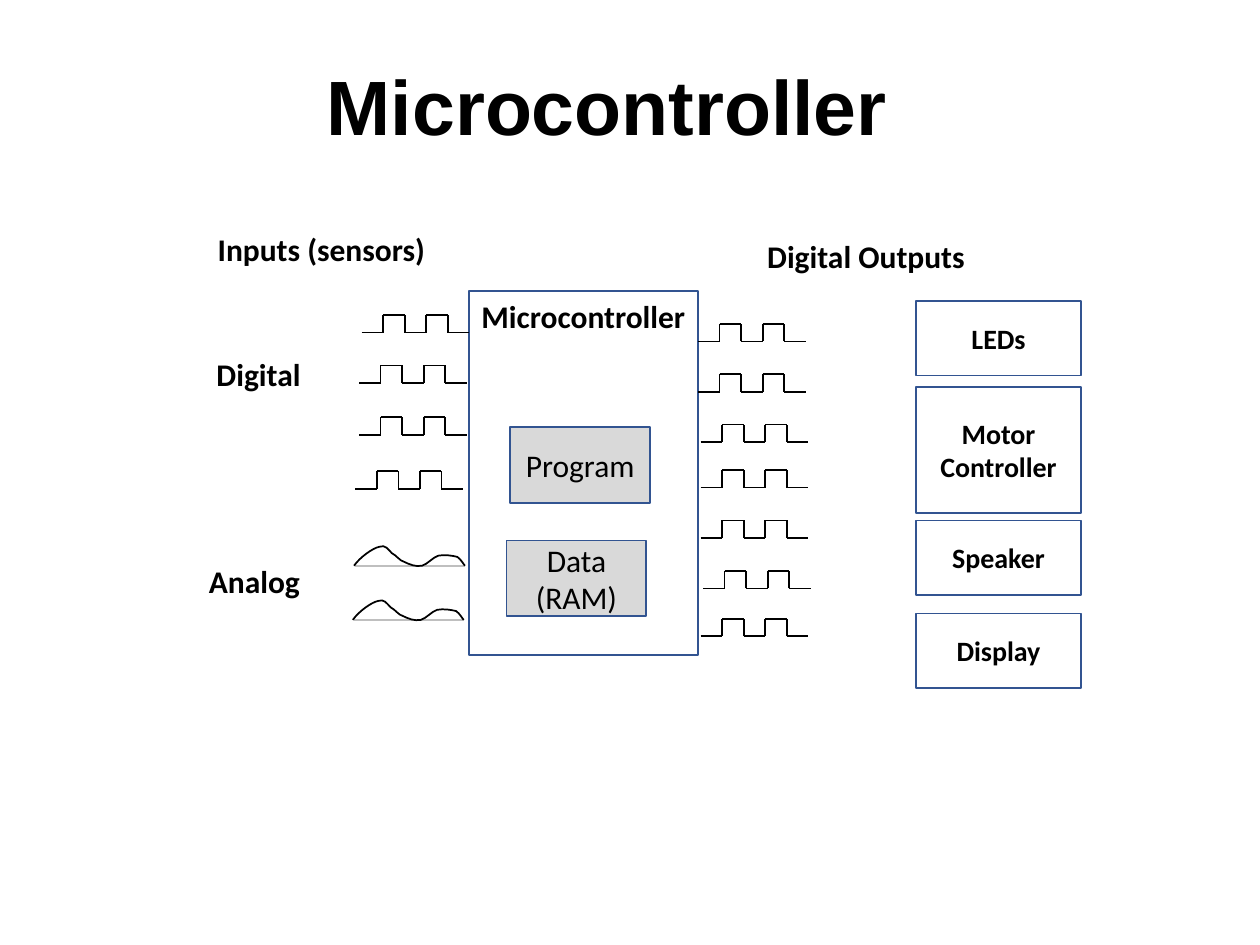
from dataclasses import dataclass

from lxml.etree import SubElement
from pptx import Presentation
from pptx.dml.color import RGBColor
from pptx.enum.shapes import MSO_CONNECTOR, MSO_SHAPE
from pptx.enum.text import MSO_ANCHOR, MSO_AUTO_SIZE, PP_ALIGN
from pptx.oxml.ns import qn
from pptx.util import Inches, Pt

BLACK, WHITE, BLUE = "000000", "FFFFFF", "325491"
PALE_GRAY, MID_GRAY = "D9D9D9", "BFBFBF"

PULSE_STEP = 0.171
PULSE_HEIGHT = 0.14
WAVE_WIDTH = 0.87

# Cubic curve points of an analog wave, relative to its starting point
WAVE_CURVE = [
    (0.05, -0.07), (0.15, -0.14), (0.2, -0.15),
    (0.25, -0.17), (0.27, -0.13), (0.3, -0.1),
    (0.34, -0.08), (0.36, -0.04), (0.4, -0.03),
    (0.44, -0.01), (0.49, 0.01), (0.54, 0),
    (0.58, -0.01), (0.63, -0.07), (0.67, -0.08),
    (0.72, -0.09), (0.78, -0.08), (0.82, -0.07),
    (0.85, -0.05), (0.87, -0.01), (0.88, 0),
]


@dataclass
class Block:
    text: str
    left: float
    top: float
    width: float
    height: float
    fill: str = WHITE
    size: int = 16
    bold: bool = True
    anchor: MSO_ANCHOR = MSO_ANCHOR.MIDDLE


@dataclass
class Label:
    text: str
    left: float
    top: float
    width: float


@dataclass
class Signal:
    left: float
    base: float


BLOCKS = [
    Block("Microcontroller", 3.72, 2.31, 1.82, 2.89, size=18, anchor=MSO_ANCHOR.TOP),
    Block("Program", 4.05, 3.39, 1.11, 0.6, PALE_GRAY, 18, False),
    Block("Data\n(RAM)", 4.02, 4.29, 1.11, 0.6, PALE_GRAY, 18, False),
    Block("LEDs", 7.27, 2.39, 1.31, 0.59),
    Block("Motor\nController", 7.27, 3.07, 1.31, 1),
    Block("Speaker", 7.27, 4.13, 1.31, 0.59),
    Block("Display", 7.27, 4.87, 1.31, 0.59),
]
LABELS = [
    Label("Inputs (sensors)", 1.63, 1.78, 1.86),
    Label("Digital Outputs", 5.99, 1.83, 1.78),
    Label("Digital", 1.62, 2.77, 0.87),
    Label("Analog", 1.56, 4.41, 0.93),
]
DIGITAL_INPUTS = [Signal(2.87, 2.64), Signal(2.85, 3.04), Signal(2.85, 3.45), Signal(2.82, 3.88)]
DIGITAL_OUTPUTS = [
    Signal(5.54, 2.71), Signal(5.54, 3.11), Signal(5.56, 3.51), Signal(5.56, 3.87),
    Signal(5.56, 4.27), Signal(5.58, 4.67), Signal(5.56, 5.05),
]
ANALOG_INPUTS = [Signal(2.81, 4.49), Signal(2.8, 4.92)]


def color(value: str) -> RGBColor:
    return RGBColor.from_string(value)


def write_text(frame, text: str, *, size: int, font: str = "Calibri", bold: bool = True,
               align=PP_ALIGN.CENTER, anchor=MSO_ANCHOR.MIDDLE, wrap: bool = True,
               spacing: float = 1.0) -> None:
    frame.word_wrap = wrap
    frame.vertical_anchor = anchor
    for index, line in enumerate(text.split("\n")):
        para = frame.add_paragraph() if index else frame.paragraphs[0]
        para.alignment = align
        para.line_spacing = spacing
        span = para.add_run()
        span.text = line
        span.font.name = font
        span.font.size = Pt(size)
        span.font.bold = bold
        span.font.color.rgb = color(BLACK)


def set_line(shape, value: str) -> None:
    shape.line.color.rgb = color(value)
    shape.line.width = Pt(1)


def draw_block(page, block: Block) -> None:
    box = page.shapes.add_shape(MSO_SHAPE.RECTANGLE, Inches(block.left), Inches(block.top),
                                Inches(block.width), Inches(block.height))
    box.shadow.inherit = False
    box.fill.solid()
    box.fill.fore_color.rgb = color(block.fill)
    set_line(box, BLUE)
    box.text_frame.margin_left = box.text_frame.margin_right = Inches(0.05)
    write_text(box.text_frame, block.text, size=block.size, bold=block.bold, anchor=block.anchor)


def draw_label(page, label: Label) -> None:
    box = page.shapes.add_textbox(Inches(label.left), Inches(label.top),
                                  Inches(label.width), Inches(0.4))
    write_text(box.text_frame, label.text, size=18, align=PP_ALIGN.LEFT,
               anchor=MSO_ANCHOR.TOP, wrap=False)
    box.text_frame.auto_size = MSO_AUTO_SIZE.SHAPE_TO_FIT_TEXT


def draw_line(group, x1: float, y1: float, x2: float, y2: float, value: str = BLACK) -> None:
    line = group.shapes.add_connector(MSO_CONNECTOR.STRAIGHT, Inches(x1), Inches(y1),
                                      Inches(x2), Inches(y2))
    set_line(line, value)
    SubElement(line._element.spPr, qn("a:effectLst"))


def draw_pulses(page, signal: Signal) -> None:
    group = page.shapes.add_group_shape()
    high = signal.base - PULSE_HEIGHT
    for step in range(5):
        start = signal.left + step * PULSE_STEP
        level = high if step % 2 else signal.base
        draw_line(group, start, level, start + PULSE_STEP, level)
        if step:
            draw_line(group, start, signal.base, start, high)


def draw_wave(page, signal: Signal) -> None:
    group = page.shapes.add_group_shape()
    draw_line(group, signal.left + 0.01, signal.base, signal.left + 0.01 + WAVE_WIDTH,
              signal.base, MID_GRAY)
    builder = group.shapes.build_freeform(Inches(signal.left), Inches(signal.base))
    builder.add_line_segments([(Inches(signal.left + x), Inches(signal.base + y))
                               for x, y in WAVE_CURVE], close=False)
    wave = builder.convert_to_shape()
    wave.shadow.inherit = False
    wave.fill.background()
    set_line(wave, BLACK)
    # Join each three straight segments into one cubic curve
    segments = list(wave._element.iter(qn("a:lnTo")))
    outline = segments[0].getparent()
    for first in range(0, len(segments), 3):
        curve = SubElement(outline, qn("a:cubicBezTo"))
        for segment in segments[first:first + 3]:
            curve.append(segment[0])
            outline.remove(segment)


def main() -> None:
    deck = Presentation()
    deck.slide_width, deck.slide_height = Inches(10), Inches(7.5)
    page = deck.slides.add_slide(deck.slide_layouts[6])

    # Title
    title = page.shapes.add_textbox(Inches(0.32), Inches(0.15), Inches(9), Inches(1.45))
    write_text(title.text_frame, "Microcontroller", size=44, font="Arial", spacing=0.9)

    # Controller, its memory and the output devices
    for block in BLOCKS:
        draw_block(page, block)
    for label in LABELS:
        draw_label(page, label)

    # Signals
    for signal in DIGITAL_INPUTS + DIGITAL_OUTPUTS:
        draw_pulses(page, signal)
    for signal in ANALOG_INPUTS:
        draw_wave(page, signal)

    deck.save("out.pptx")


if __name__ == "__main__":
    main()
